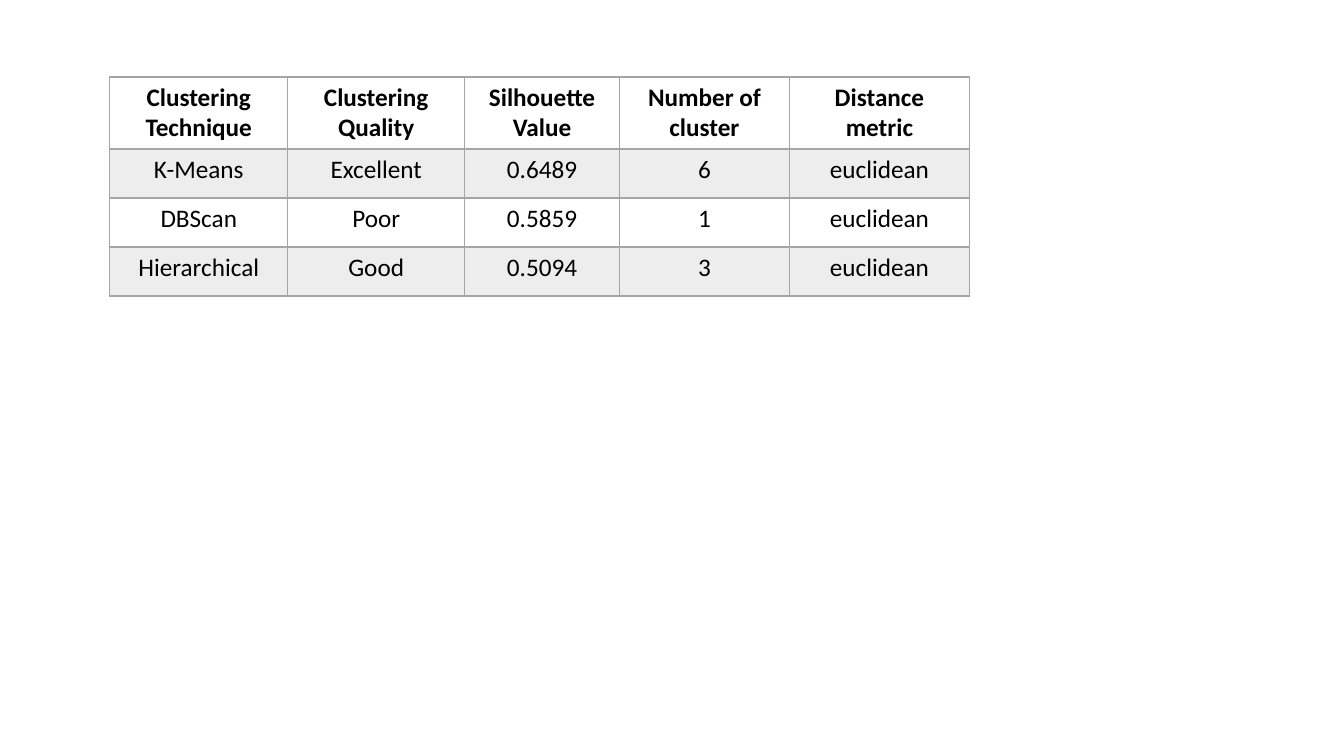
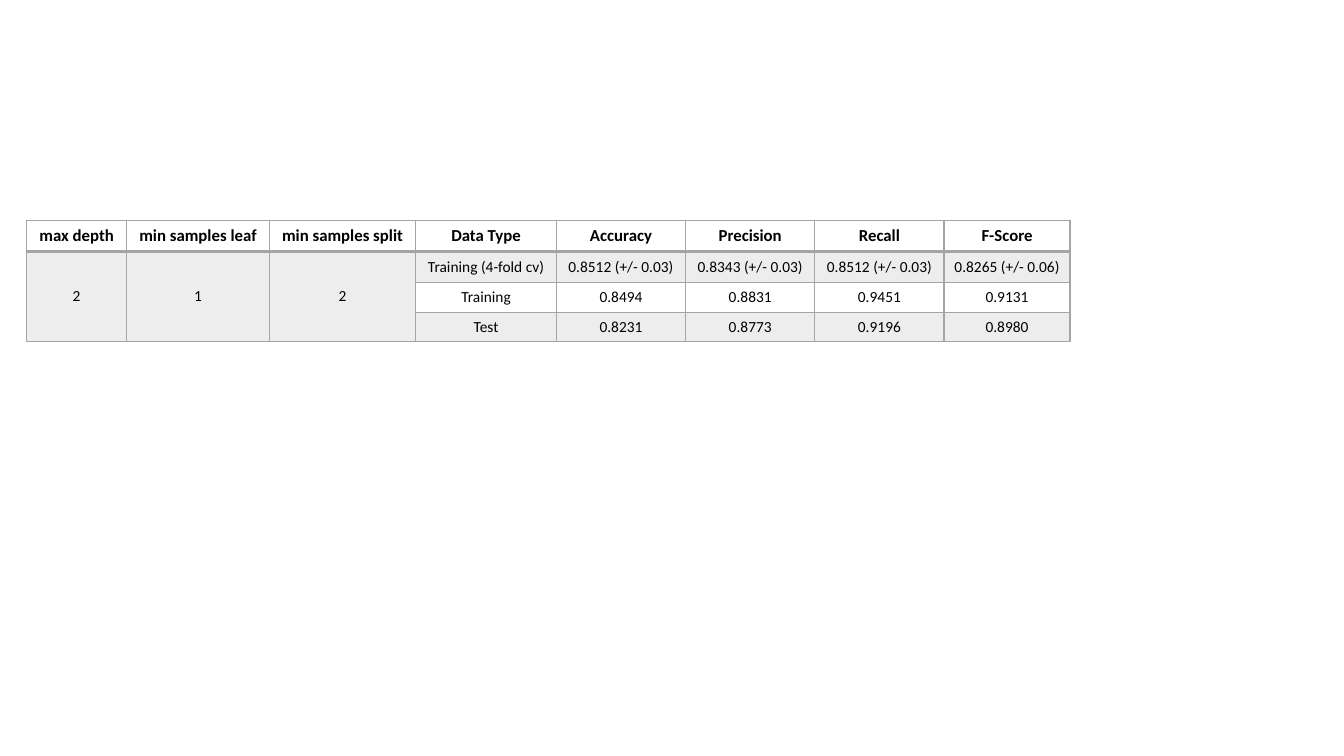
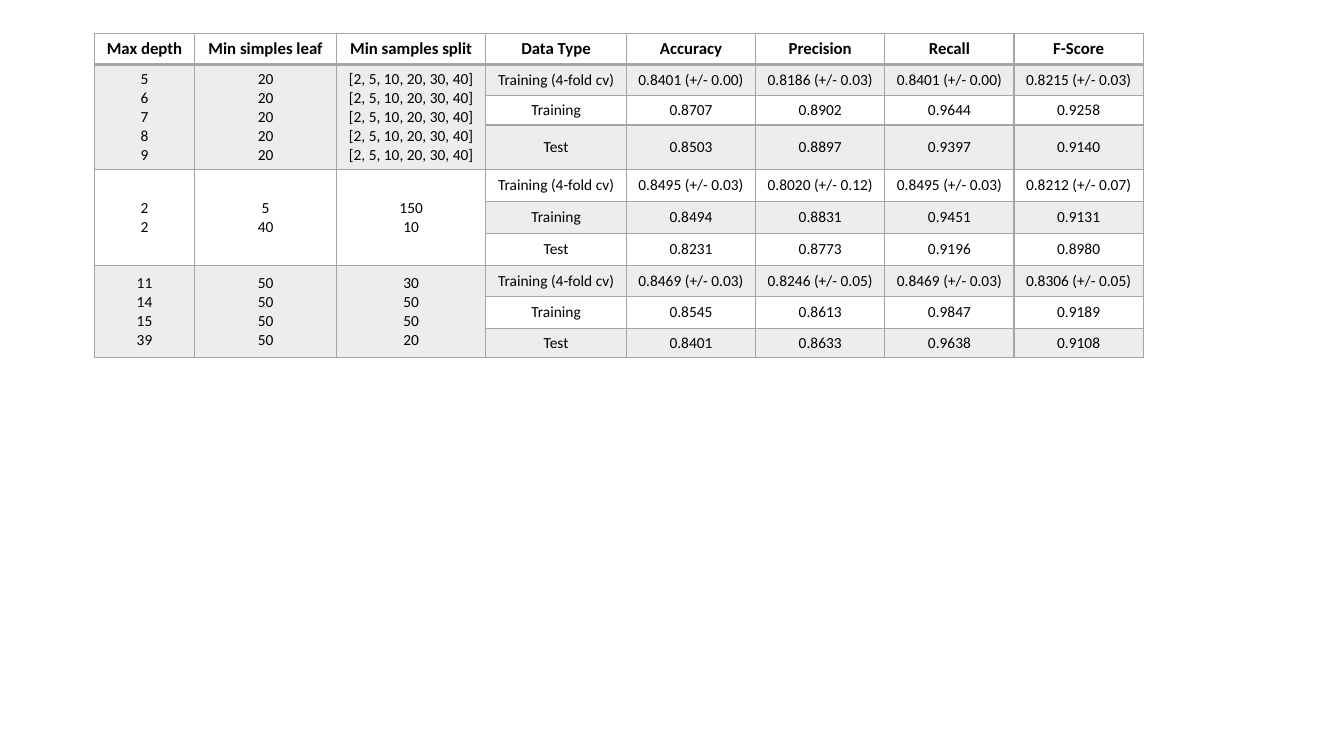
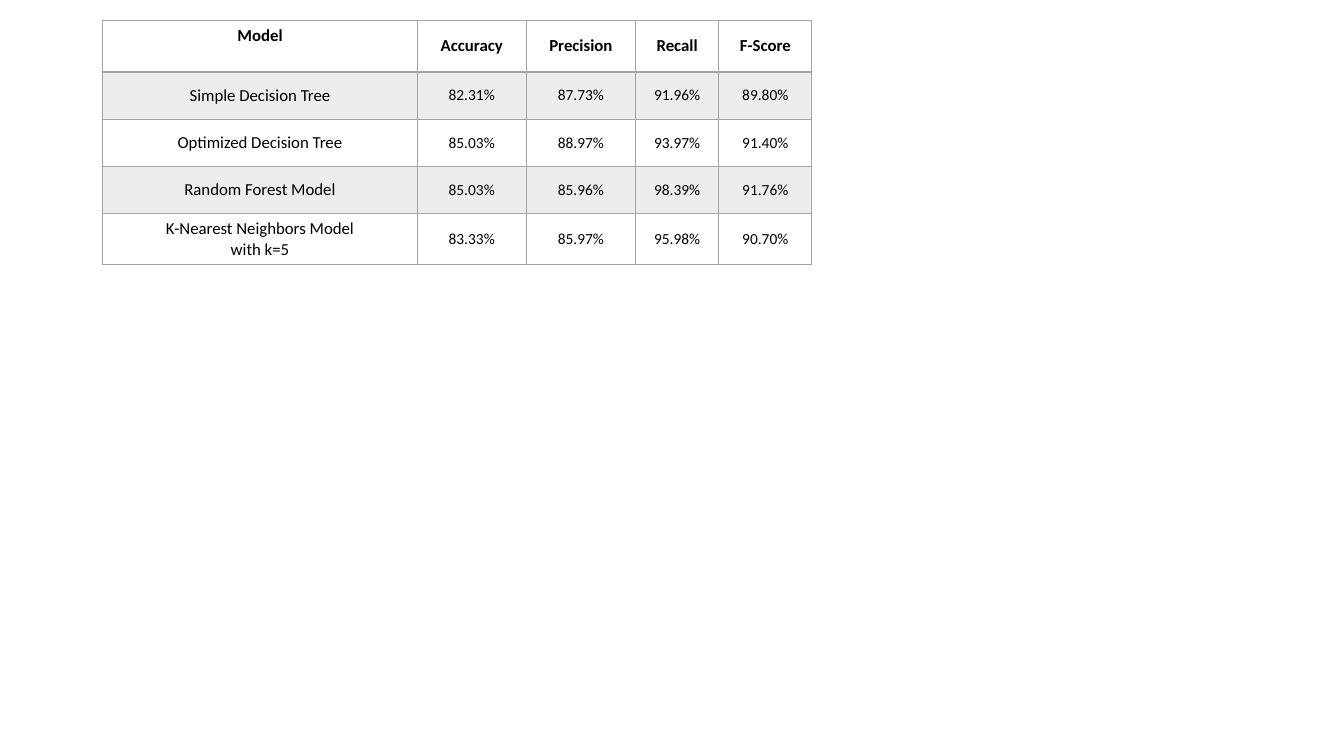
from lxml.etree import SubElement
from pptx import Presentation
from pptx.dml.color import RGBColor
from pptx.enum.text import MSO_ANCHOR as ANCHOR, PP_ALIGN as ALIGN
from pptx.oxml.ns import qn
from pptx.util import Pt

COLORS = {"text": "000000", "border": "A5A5A5", "band": "EDEDED"}
FONT = "Calibri"

prs = Presentation()
prs.slide_width, prs.slide_height = Pt(960), Pt(540)


def draw_borders(cell, row_number):
    """Thin grey lines all round, with a thicker one below the header row."""
    cell_props = cell._tc.get_or_add_tcPr()
    for side in ("L", "R", "T", "B"):
        under_header = (row_number, side) in ((0, "B"), (1, "T"))
        line = SubElement(cell_props, qn(f"a:ln{side}"), w=str(Pt(2 if under_header else 1)))
        fill = SubElement(line, qn("a:solidFill"))
        SubElement(fill, qn("a:srgbClr"), val=COLORS["border"])


def add_results(left, top, widths, heights, rows, header_size=12, label_size=11,
                body_size=11, anchor=ANCHOR.MIDDLE):
    """Add a slide with one table; a None cell is merged into the cell above."""
    slide = prs.slides.add_slide(prs.slide_layouts[6])
    table = slide.shapes.add_table(len(rows), len(widths), Pt(left), Pt(top),
                                   Pt(sum(widths)), Pt(sum(heights))).table
    table.horz_banding = False
    for column, width in zip(table.columns, widths):
        column.width = Pt(width)
    for row, height in zip(table.rows, heights):
        row.height = Pt(height)

    for r, values in enumerate(rows):
        for c, value in enumerate(values):
            cell = table.cell(r, c)
            cell.text = value or ""
            cell.vertical_anchor = anchor
            draw_borders(cell, r)
            if r % 2:
                cell.fill.solid()
                cell.fill.fore_color.rgb = RGBColor.from_string(COLORS["band"])
            else:
                cell.fill.background()
            size = header_size if r == 0 else label_size if c == 0 else body_size
            for paragraph in cell.text_frame.paragraphs:
                paragraph.alignment = ALIGN.CENTER
                font = paragraph.font
                font.name, font.size, font.bold = FONT, Pt(size), r == 0
                font.color.rgb = RGBColor.from_string(COLORS["text"])

    for c in range(len(widths)):
        for r in range(len(rows)):
            end = r
            while end + 1 < len(rows) and rows[end + 1][c] is None:
                end += 1
            if rows[r][c] is not None and end > r:
                table.cell(r, c).merge(table.cell(end, c))
    return table


METRICS = ["Accuracy", "Precision", "Recall", "F-Score"]
DATA_TYPES = ["Training (4-fold cv)", "Training", "Test"]

# Clustering techniques
add_results(
    78.5, 55, [127, 126.5, 110.5, 121.5, 128.5], [51.5, 35, 35, 35],
    [["Clustering Technique", "Clustering Quality", "Silhouette\nValue",
      "Number of cluster", "Distance metric"],
     ["K-Means", "Excellent", "0.6489", "6", "euclidean"],
     ["DBScan", "Poor", "0.5859", "1", "euclidean"],
     ["Hierarchical", "Good", "0.5094", "3", "euclidean"]],
    header_size=18, label_size=18, body_size=18, anchor=ANCHOR.TOP)

# Decision trees: each group of parameters has one row of scores per data type
simple_tree = [
    (["2", "1", "2"],
     [["0.8512 (+/- 0.03)", "0.8343 (+/- 0.03)", "0.8512 (+/- 0.03)", "0.8265 (+/- 0.06)"],
      ["0.8494", "0.8831", "0.9451", "0.9131"],
      ["0.8231", "0.8773", "0.9196", "0.8980"]]),
]
optimized_trees = [
    (["5\n6\n7\n8\n9", "\n".join(["20"] * 5), "\n".join(["[2, 5, 10, 20, 30, 40]"] * 5)],
     [["0.8401 (+/- 0.00)", "0.8186 (+/- 0.03)", "0.8401 (+/- 0.00)", "0.8215 (+/- 0.03)"],
      ["0.8707", "0.8902", "0.9644", "0.9258"],
      ["0.8503", "0.8897", "0.9397", "0.9140"]]),
    (["2\n2", "5\n40", "150\n10"],
     [["0.8495 (+/- 0.03)", "0.8020 (+/- 0.12)", "0.8495 (+/- 0.03)", "0.8212 (+/- 0.07)"],
      ["0.8494", "0.8831", "0.9451", "0.9131"],
      ["0.8231", "0.8773", "0.9196", "0.8980"]]),
    (["11\n14\n15\n39", "\n".join(["50"] * 4), "30\n50\n50\n20"],
     [["0.8469 (+/- 0.03)", "0.8246 (+/- 0.05)", "0.8469 (+/- 0.03)", "0.8306 (+/- 0.05)"],
      ["0.8545", "0.8613", "0.9847", "0.9189"],
      ["0.8401", "0.8633", "0.9638", "0.9108"]]),
]
tree_slides = [
    (19, 157.5, [71.5, 102, 104.5, 100.5, 92.3, 92.3, 92.3, 90], [22, 22.5, 21, 21],
     ["max depth", "min samples leaf", "min samples split"], simple_tree),
    (67.5, 24, [71.5, 101.5, 106.5, 100.5, 92.3, 92.3, 92.3, 92.3],
     [22, 22.5, 20.7, 31.4, 22.8, 22.8, 22.8, 22.5, 22.5, 20.7],
     ["Max depth", "Min simples leaf", "Min samples split"], optimized_trees),
]
for left, top, widths, heights, parameters, groups in tree_slides:
    rows = [parameters + ["Data Type"] + METRICS]
    for settings, scores in groups:
        for i, (data_type, score) in enumerate(zip(DATA_TYPES, scores)):
            rows.append((settings if i == 0 else [None] * 3) + [data_type] + score)
    add_results(left, top, widths, heights, rows)

# Model comparison
comparison = add_results(
    73.5, 14.5, [224.5, 78, 78, 59.5, 66.5], [37, 33.7, 33.7, 33.7, 36.5],
    [["Model"] + METRICS,
     ["Simple Decision Tree", "82.31%", "87.73%", "91.96%", "89.80%"],
     ["Optimized Decision Tree", "85.03%", "88.97%", "93.97%", "91.40%"],
     ["Random Forest Model", "85.03%", "85.96%", "98.39%", "91.76%"],
     ["K-Nearest Neighbors Model\nwith k=5", "83.33%", "85.97%", "95.98%", "90.70%"]],
    label_size=12)
comparison.cell(0, 0).vertical_anchor = ANCHOR.TOP

prs.save("out.pptx")
